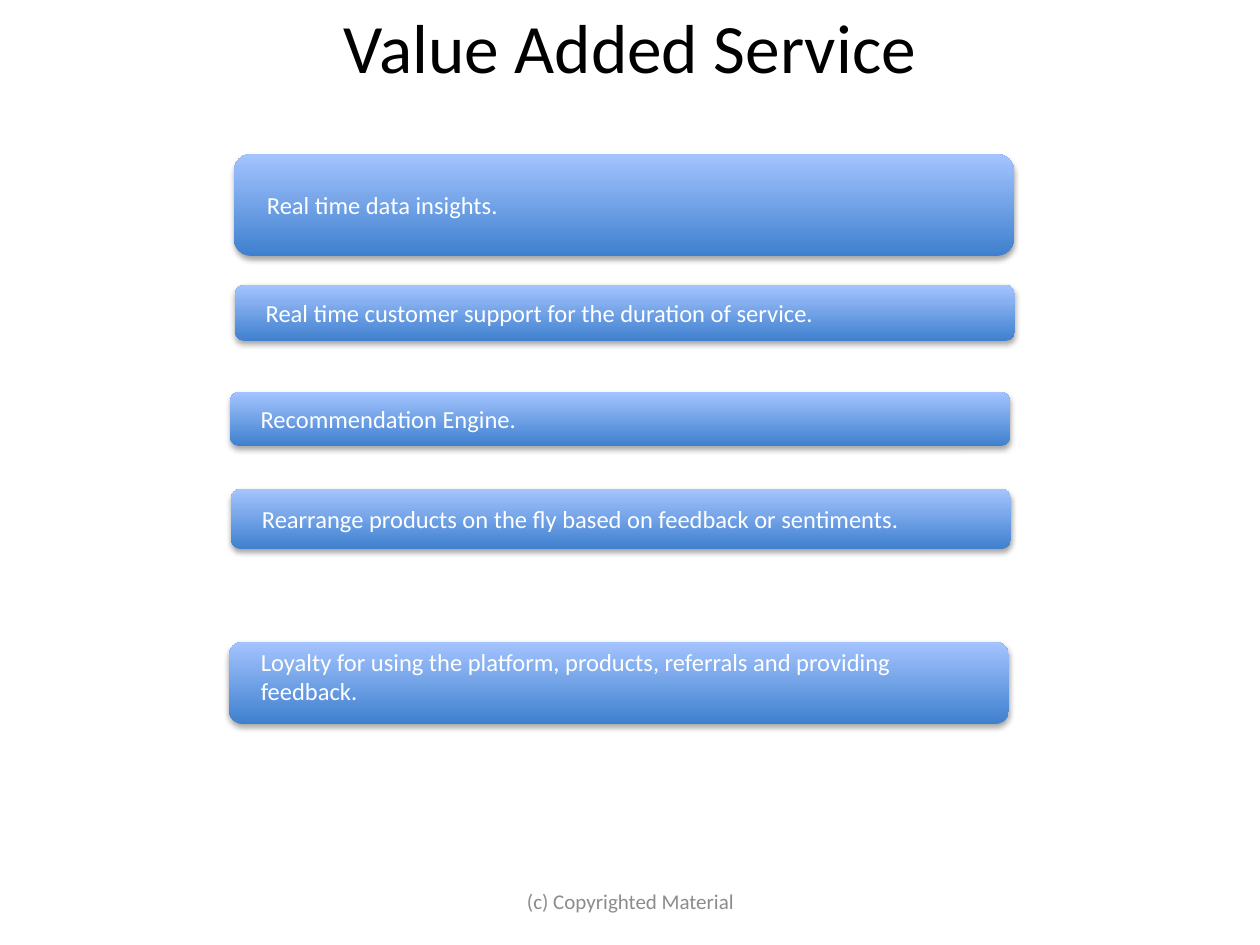
"""Build the Value Added Service slide."""
import pptx
import pptx.util
import pptx.dml.color
import pptx.enum.shapes
import pptx.enum.text
import pptx.oxml
import pptx.oxml.ns

RGB = pptx.dml.color.RGBColor
BLACK = RGB(0x00, 0x00, 0x00)
WHITE = RGB(0xFF, 0xFF, 0xFF)
GREY = RGB(0x8C, 0x8C, 0x8C)
DARK = RGB(0x3F, 0x80, 0xCE)
LIGHT = RGB(0xA4, 0xC4, 0xFF)
ALIGN = pptx.enum.text.PP_ALIGN
SCALE = 914400 / 126
SHADOW = (
    f'<a:outerShdw {pptx.oxml.ns.nsdecls("a")} blurRad="40000" dist="23000" '
    'dir="5400000" rotWithShape="0"><a:srgbClr val="000000">'
    '<a:alpha val="35000"/></a:srgbClr></a:outerShdw>'
)


def px(*nums):
    return [pptx.util.Emu(round(n * SCALE)) for n in nums]


def write(shape, text, size, color, align=ALIGN.CENTER, inset=(13, 6, 13, 6)):
    frame = shape.text_frame
    frame.word_wrap = True
    frame.auto_size = pptx.enum.text.MSO_AUTO_SIZE.NONE
    frame.vertical_anchor = pptx.enum.text.MSO_ANCHOR.MIDDLE
    (frame.margin_left, frame.margin_top,
     frame.margin_right, frame.margin_bottom) = px(*inset)
    para = frame.paragraphs[0]
    para.alignment = align
    run = para.add_run()
    run.text = text
    run.font.name = "Calibri"
    run.font.size = pptx.util.Pt(size)
    run.font.color.rgb = color


deck = pptx.Presentation()
deck.slide_width, deck.slide_height = px(1260, 945)
slide = deck.slides.add_slide(deck.slide_layouts[5])

title = slide.shapes.title
title.left, title.top, title.width, title.height = px(63, 4, 1134, 83)
write(title, "Value Added Service", 39.6, BLACK)

bars = [
    (234, 154, 102, 0, "Real time data insights."),
    (235, 285, 56, 0, "Real time customer support for the duration of service."),
    (230, 392, 54, 0, "Recommendation Engine."),
    (231, 489, 60, 0, "Rearrange products on the fly based on feedback or sentiments."),
    (229, 642, 82, 14,
     "Loyalty for using the platform, products, referrals and providing feedback."),
]
for left, top, height, foot, text in bars:
    bar = slide.shapes.add_shape(
        pptx.enum.shapes.MSO_SHAPE.ROUNDED_RECTANGLE, *px(left, top, 780, height))
    bar.fill.gradient()
    bar.fill.gradient_angle = 90
    for stop, color in zip(bar.fill.gradient_stops, (DARK, LIGHT)):
        stop.color.rgb = color
    bar.line.fill.background()
    bar.shadow.inherit = False
    effects = bar._element.spPr.find(pptx.oxml.ns.qn("a:effectLst"))
    effects.append(pptx.oxml.parse_xml(SHADOW))
    write(bar, text, 14, WHITE, align=ALIGN.LEFT, inset=(28, 0, 28, foot))

footer = slide.shapes.add_textbox(*px(431, 876, 399, 50))
write(footer, "(c) Copyrighted Material", 12, GREY)

deck.save("out.pptx")
